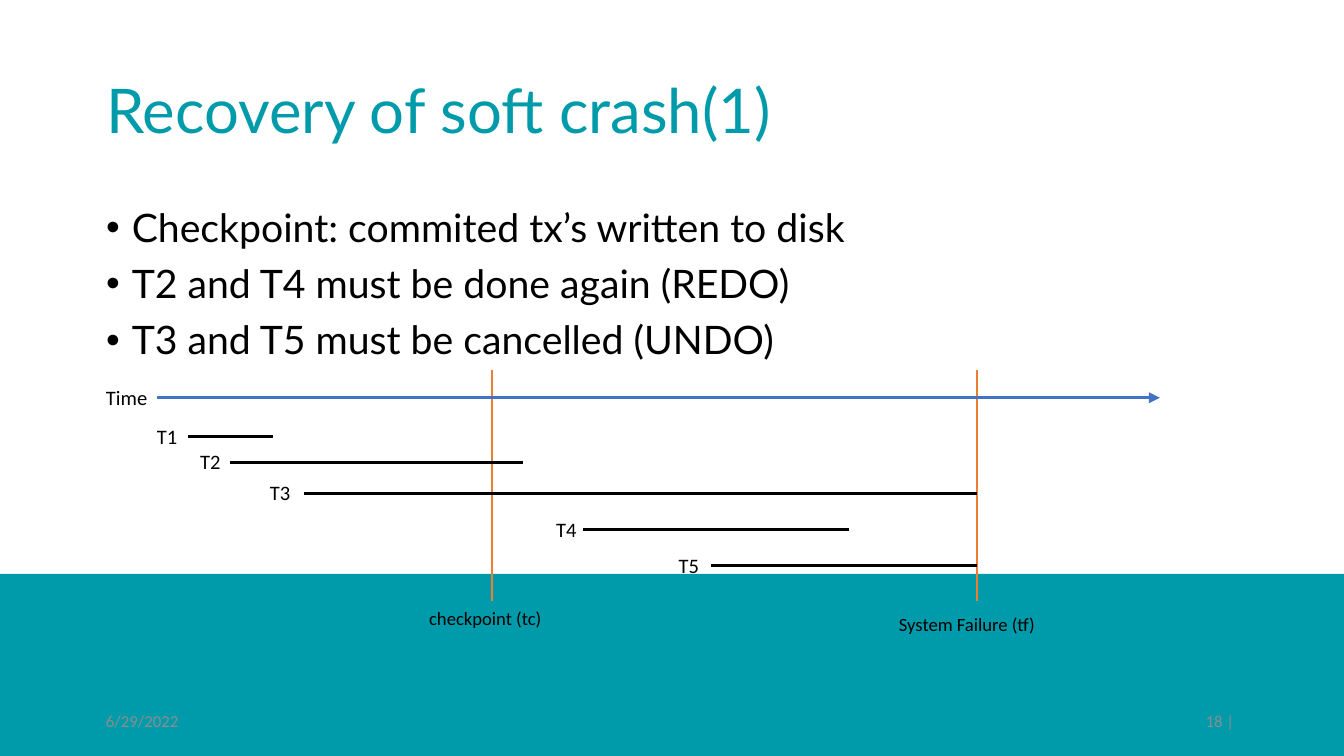
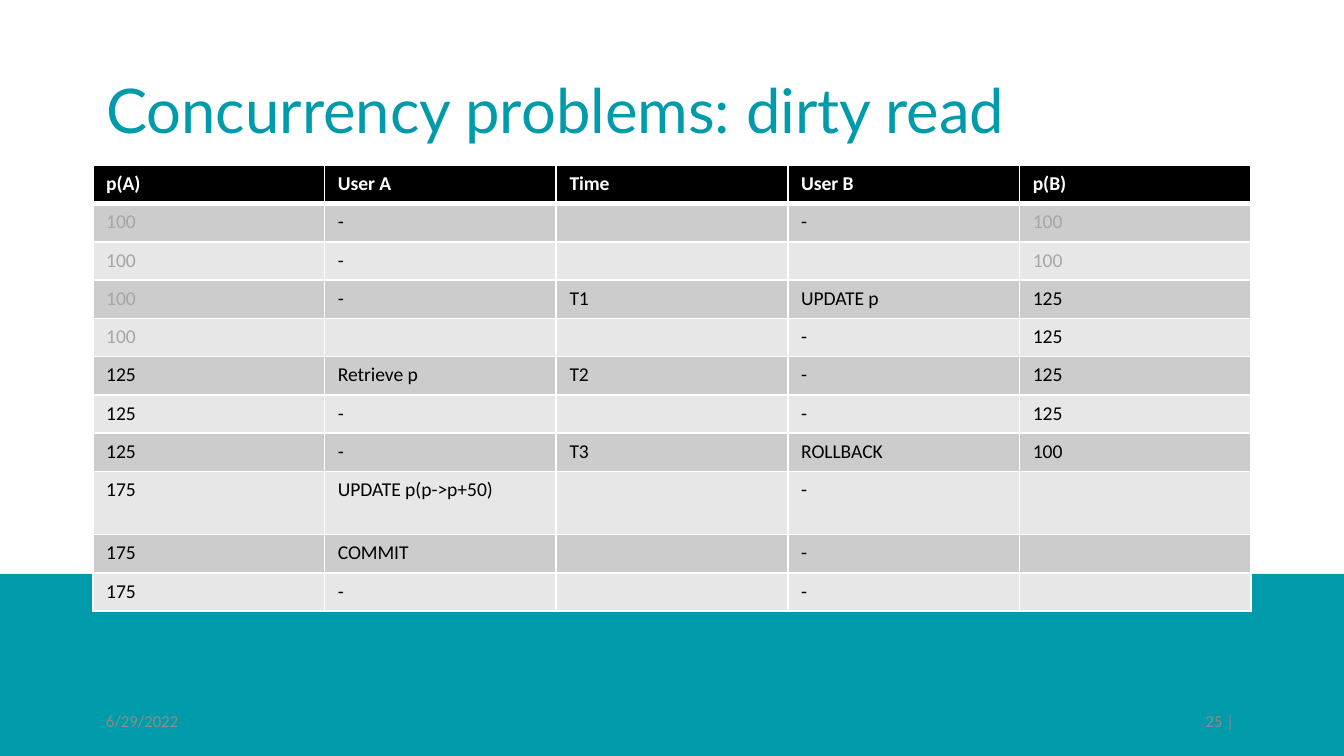
from dataclasses import dataclass
from typing import NamedTuple

import lxml.etree
import pptx
import pptx.dml.color
import pptx.enum.shapes
import pptx.enum.text
import pptx.oxml.ns
import pptx.presentation
import pptx.shapes.autoshape
import pptx.shapes.base
import pptx.shapes.connector
import pptx.slide
import pptx.table
import pptx.text.text
import pptx.util

qn = pptx.oxml.ns.qn
Align = pptx.enum.text.PP_ALIGN
Anchor = pptx.enum.text.MSO_ANCHOR
AutoSize = pptx.enum.text.MSO_AUTO_SIZE

# The slide is a grid of square cells, a tenth of an inch each.
CELL = pptx.util.Inches(0.1)
COLS, ROWS = 100, 56.25
MARGIN = 6.9
CONTENT_W = COLS - 2 * MARGIN


@dataclass(frozen=True)
class Theme:
    teal: str = "009BAA"
    white: str = "FFFFFF"
    black: str = "000000"
    muted: str = "8C8C8C"
    stale: str = "A6A6A6"
    axis: str = "4472C4"
    event: str = "ED7D31"
    bands: tuple[str, str] = ("CCCCCC", "E7E7E7")
    heading_font: str = "Lato"
    label_font: str = "Calibri"
    title: float = 33
    body: float = 21
    label: float = 11
    cell: float = 10.5
    event_label: float = 10
    footer: float = 9


THEME = Theme()


class Box(NamedTuple):
    x: float
    y: float
    w: float
    h: float


class Bar(NamedTuple):
    """A horizontal span of the timeline with its label on the left."""
    label: str
    label_x: float
    start: float
    end: float
    y: float
    label_w: float = 3.8
    color: str = THEME.black
    arrow: bool = False


class Event(NamedTuple):
    label: str
    x: float
    label_y: float
    label_w: float
    weight: float


BAND = Box(0, 42.7, COLS, ROWS - 42.7)
TITLE = Box(MARGIN, 3, CONTENT_W, 10.9)
BODY = Box(MARGIN, 15, CONTENT_W, 35.7)
FOOTER_Y, FOOTER_W, FOOTER_H = 52.1, 22.5, 3
DATE = "6/29/2022"

EVENT_TOP, EVENT_BOTTOM = 27.5, 44.7
CHECKPOINT, FAILURE = 36.6, 72.7
EVENTS = (
    Event("checkpoint (tc)", CHECKPOINT, EVENT_BOTTOM, 11.3, 1),
    Event("System Failure (tf)", FAILURE, 45.1, 13.6, 1.5),
)
BARS = (
    Bar("Time", MARGIN, 11.7, 86.3, 29.6, 5.5, THEME.axis, True),
    Bar("T1", 10.7, 14, 20.3, 32.5, 3.6),
    Bar("T2", 13.9, 17.1, 38.9, 34.4),
    Bar("T3", 19.1, 22.6, FAILURE, 36.7),
    Bar("T4", 40.4, 43.4, 63.2, 39.4),
    Bar("T5", 49.5, 52.9, FAILURE, 42.1),
)
LABEL_H, EVENT_LABEL_H = 2.9, 2.7

CHECKPOINT_RULES = (
    "Checkpoint: commited tx’s written to disk",
    "T2 and T4 must be done again (REDO)",
    "T3 and T5 must be cancelled (UNDO)",
)

DIRTY_READ = (
    ("p(A)", "User A", "Time", "User B", "p(B)"),
    ("100", "-", "", "-", "100"),
    ("100", "-", "", "", "100"),
    ("100", "-", "T1", "UPDATE p", "125"),
    ("100", "", "", "-", "125"),
    ("125", "Retrieve p", "T2", "-", "125"),
    ("125", "-", "", "-", "125"),
    ("125", "-", "T3", "ROLLBACK", "100"),
    ("175", "UPDATE p(p->p+50)", "", "-", ""),
    ("175", "COMMIT", "", "-", ""),
    ("175", "-", "", "-", ""),
)
TABLE_Y, ROW_H, TALL_ROW_H, TALL_ROW = 12.3, 2.85, 4.7, 8
# Last row in which a column still shows the value from before the update.
LAST_STALE_ROW = {0: 4, 4: 2}


def cells(n: float) -> pptx.util.Emu:
    return pptx.util.Emu(round(n * CELL))


def rgb(color: str) -> pptx.dml.color.RGBColor:
    return pptx.dml.color.RGBColor.from_string(color)


def place(shape: pptx.shapes.base.BaseShape, box: Box) -> None:
    shape.left, shape.top, shape.width, shape.height = map(cells, box)


def add_run(p: pptx.text.text._Paragraph, text: str, size: float, color: str,
            font: str = THEME.label_font, bold: bool = False) -> None:
    r = p.add_run()
    r.text = text
    r.font.name = font
    r.font.size = pptx.util.Pt(size)
    r.font.bold = bold
    r.font.color.rgb = rgb(color)


def add_text(s: pptx.slide.Slide, box: Box, text: str, size: float,
             color: str = THEME.black) -> pptx.shapes.autoshape.Shape:
    """Add a one-line label that grows with its text."""
    sp = s.shapes.add_textbox(*map(cells, box))
    tf = sp.text_frame
    tf.word_wrap = False
    tf.auto_size = AutoSize.SHAPE_TO_FIT_TEXT
    add_run(tf.paragraphs[0], text, size, color)
    return sp


def add_footer(s: pptx.slide.Slide, x: float, text: str, align: Align) -> None:
    sp = add_text(s, Box(x, FOOTER_Y, FOOTER_W, FOOTER_H), text,
                  THEME.footer, THEME.muted)
    tf = sp.text_frame
    tf.auto_size = AutoSize.NONE
    tf.word_wrap = True
    tf.vertical_anchor = Anchor.MIDDLE
    tf.paragraphs[0].alignment = align


def add_line(s: pptx.slide.Slide, x1: float, y1: float, x2: float, y2: float,
             color: str, weight: float,
             arrow: bool = False) -> pptx.shapes.connector.Connector:
    line = s.shapes.add_connector(
        pptx.enum.shapes.MSO_CONNECTOR.STRAIGHT, *map(cells, (x1, y1, x2, y2)))
    line.line.color.rgb = rgb(color)
    line.line.width = pptx.util.Pt(weight)
    props = line.element.spPr
    if arrow:
        lxml.etree.SubElement(props.find(qn("a:ln")), qn("a:tailEnd"),
                              type="triangle")
    lxml.etree.SubElement(props, qn("a:effectLst"))
    return line


def add_slide(prs: pptx.presentation.Presentation, layout: str, title: str,
              number: int) -> pptx.slide.Slide:
    """Add a slide with the shared band, title and footers."""
    s = prs.slides.add_slide(prs.slide_layouts.get_by_name(layout))
    band = s.shapes.add_shape(pptx.enum.shapes.MSO_SHAPE.RECTANGLE,
                              *map(cells, BAND))
    band.shadow.inherit = False
    band.fill.solid()
    band.fill.fore_color.rgb = rgb(THEME.teal)
    band.line.fill.background()
    s.shapes.element.insert(2, band.element)  # behind the placeholders

    place(s.shapes.title, TITLE)
    tf = s.shapes.title.text_frame
    tf.auto_size = AutoSize.NONE
    tf.vertical_anchor = Anchor.MIDDLE
    p = tf.paragraphs[0]
    p.alignment = Align.LEFT
    p.line_spacing = 0.9
    add_run(p, title, THEME.title, THEME.teal, THEME.heading_font)

    add_footer(s, MARGIN, DATE, Align.LEFT)
    add_footer(s, COLS - MARGIN - FOOTER_W, f"{number} | ", Align.RIGHT)
    return s


def fill_bullets(body: pptx.shapes.autoshape.Shape,
                 items: tuple[str, ...]) -> None:
    place(body, BODY)
    tf = body.text_frame
    tf.auto_size = AutoSize.NONE
    for i, item in enumerate(items):
        p = tf.add_paragraph() if i else tf.paragraphs[0]
        props = p._p.get_or_add_pPr()
        indent = cells(1.9)
        props.set("marL", str(indent))
        props.set("indent", str(-indent))
        lxml.etree.SubElement(props, qn("a:buChar"), char="•")
        p.line_spacing = 0.9
        p.space_before = pptx.util.Pt(7.5 if i else 0)
        add_run(p, item, THEME.body, THEME.black, THEME.heading_font)


def draw_bar(s: pptx.slide.Slide, bar: Bar) -> None:
    add_line(s, bar.start, bar.y, bar.end, bar.y, bar.color, 1.5, bar.arrow)
    add_text(s, Box(bar.label_x, bar.y - LABEL_H / 2, bar.label_w, LABEL_H),
             bar.label, THEME.label)


def draw_event(s: pptx.slide.Slide, event: Event) -> None:
    box = Box(event.x - event.label_w / 2, event.label_y, event.label_w,
              EVENT_LABEL_H)
    label = add_text(s, box, event.label, THEME.event_label)
    line = add_line(s, event.x, EVENT_TOP, event.x, EVENT_BOTTOM,
                    THEME.event, event.weight)
    if event.label_y == EVENT_BOTTOM:
        line.end_connect(label, 0)


def set_borders(cell: pptx.table._Cell, widths: dict[str, float]) -> None:
    props = cell._tc.get_or_add_tcPr()
    for side, width in widths.items():
        ln = lxml.etree.SubElement(props, qn(f"a:ln{side}"),
                                   w=str(pptx.util.Pt(width)))
        fill = lxml.etree.SubElement(ln, qn("a:solidFill"))
        lxml.etree.SubElement(fill, qn("a:srgbClr"), val=THEME.white)


def fill_cell(cell: pptx.table._Cell, row: int, col: int, text: str) -> None:
    header = row == 0
    set_borders(cell, {"L": 1, "R": 1, "T": 1, "B": 3} if header
                else {"L": 1, "R": 1, "B": 1})
    cell.fill.solid()
    cell.fill.fore_color.rgb = rgb(
        THEME.black if header else THEME.bands[(row - 1) % 2])
    p = cell.text_frame.paragraphs[0]
    if not text:
        lxml.etree.SubElement(p._p, qn("a:endParaRPr"),
                              sz=str(round(THEME.cell * 100)))
        return
    if header:
        color = THEME.white
    elif row <= LAST_STALE_ROW.get(col, 0):
        color = THEME.stale
    else:
        color = THEME.black
    add_run(p, text, THEME.cell, color, bold=header)


def add_schedule(s: pptx.slide.Slide,
                 rows: tuple[tuple[str, ...], ...]) -> None:
    heights = [TALL_ROW_H if i == TALL_ROW else ROW_H for i in range(len(rows))]
    box = Box(MARGIN, TABLE_Y, CONTENT_W, sum(heights))
    table = s.shapes.add_table(len(rows), len(rows[0]), *map(cells, box)).table
    for column in table.columns:
        column.width = cells(CONTENT_W / len(rows[0]))
    for i, (values, height) in enumerate(zip(rows, heights)):
        table.rows[i].height = cells(height)
        for j, text in enumerate(values):
            fill_cell(table.cell(i, j), i, j, text)


def main() -> None:
    prs = pptx.Presentation()
    prs.slide_width, prs.slide_height = cells(COLS), cells(ROWS)

    s = add_slide(prs, "Title and Content", "Recovery of soft crash(1)", 18)
    fill_bullets(s.placeholders[1], CHECKPOINT_RULES)
    for event in EVENTS:
        draw_event(s, event)
    for bar in BARS:
        draw_bar(s, bar)

    s = add_slide(prs, "Title Only", "Concurrency problems: dirty read", 25)
    add_schedule(s, DIRTY_READ)

    prs.save("out.pptx")


if __name__ == "__main__":
    main()
